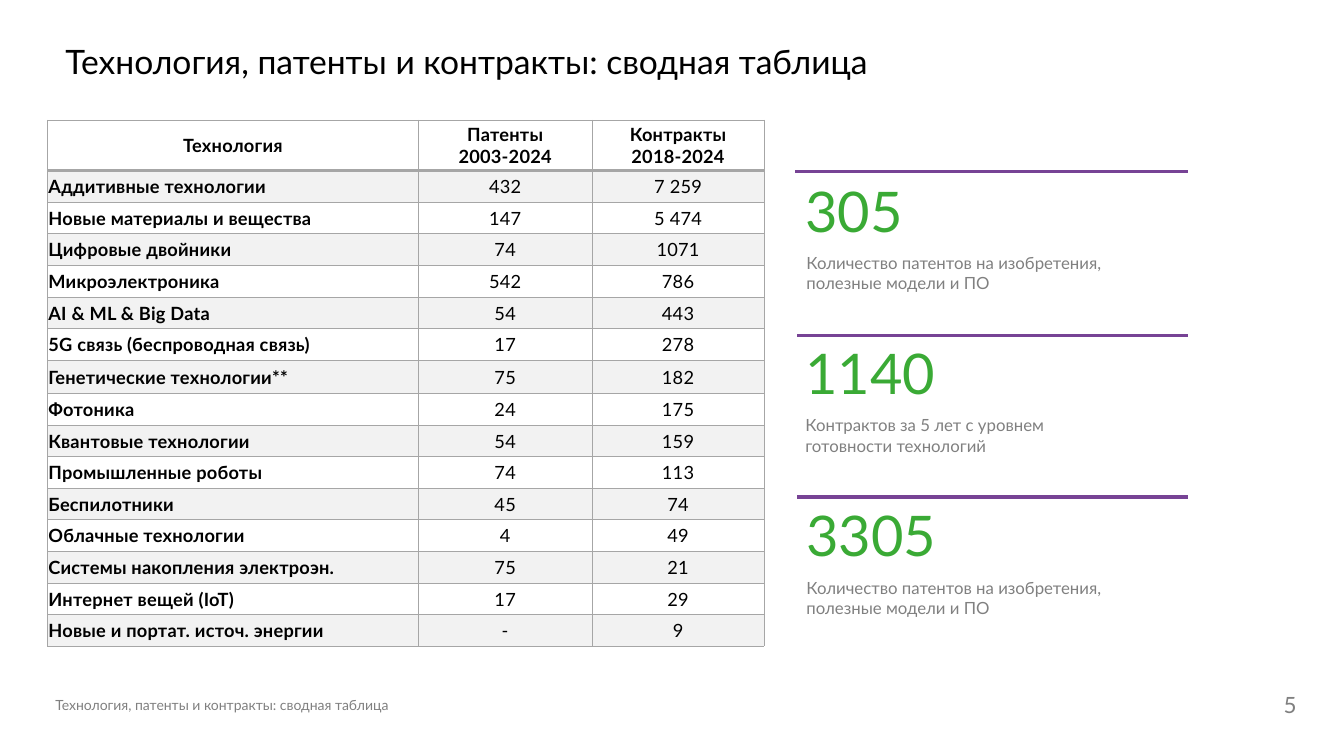
from dataclasses import dataclass

from lxml.etree import SubElement
from pptx import Presentation
from pptx.dml.color import RGBColor
from pptx.enum.shapes import MSO_CONNECTOR
from pptx.enum.text import MSO_ANCHOR, MSO_AUTO_SIZE, PP_ALIGN
from pptx.oxml import parse_xml
from pptx.oxml.ns import nsdecls, qn
from pptx.slide import Slide
from pptx.table import _Cell
from pptx.text.text import _Paragraph
from pptx.util import Inches, Pt

COLORS = {
    "text": "000000",
    "muted": "808080",
    "number": "3AAA35",
    "rule": "774395",
    "border": "A6A6A6",
    "band": "F2F2F2",
    "plain": "FFFFFF",
}
FONT = "Lato"
HEADING = "Технология, патенты и контракты: сводная таблица"
HEADERS = ("Технология", "Патенты\n2003-2024", "Контракты\n2018-2024")
TECHNOLOGIES = (
    ("Аддитивные технологии", "432", "7 259"),
    ("Новые материалы и вещества", "147", "5 474"),
    ("Цифровые двойники", "74", "1071"),
    ("Микроэлектроника", "542", "786"),
    ("AI & ML & Big Data", "54", "443"),
    ("5G связь (беспроводная связь)", "17", "278"),
    ("Генетические технологии**", "75", "182"),
    ("Фотоника", "24", "175"),
    ("Квантовые технологии", "54", "159"),
    ("Промышленные роботы", "74", "113"),
    ("Беспилотники", "45", "74"),
    ("Облачные технологии", "4", "49"),
    ("Системы накопления электроэн.", "75", "21"),
    ("Интернет вещей (IoT)", "17", "29"),
    ("Новые и портат. источ. энергии", "-", "9"),
)
COLUMN_WIDTHS = (3.68, 1.72, 1.71)
TABLE_HEIGHT = 5.22
HEADER_HEIGHT = 0.5
TALL_ROW, TALL_HEIGHT = 7, 0.33
ROW_HEIGHT = (TABLE_HEIGHT - HEADER_HEIGHT - TALL_HEIGHT) / (len(TECHNOLOGIES) - 1)
THIN, THICK = 0.25, 3
RULE_RIGHT = 11.78


@dataclass
class Label:
    text: str
    left: float
    top: float
    width: float
    height: float
    size: float
    color: str
    alignment: PP_ALIGN = PP_ALIGN.LEFT
    anchor: MSO_ANCHOR = MSO_ANCHOR.TOP
    auto_size: MSO_AUTO_SIZE = MSO_AUTO_SIZE.NONE
    line_spacing: float = 1.0


@dataclass
class Metric:
    number: str
    caption: str
    left: float
    top: float
    caption_left: float
    caption_width: float
    rule_left: float
    rule_top: float


LABELS = (
    Label("5", 9.96, 6.79, 3, 0.4, 16, "muted", PP_ALIGN.RIGHT, MSO_ANCHOR.MIDDLE),
    Label(HEADING, 0.55, 0.4, 9.07, 1.42, 24, "text", line_spacing=0.9),
    Label(HEADING, 0.45, 6.79, 6.12, 0.4, 10, "muted", anchor=MSO_ANCHOR.MIDDLE),
)
METRICS = (
    Metric("305", "Количество патентов на изобретения, полезные модели и ПО",
           7.89, 1.7, 7.9, 3.89, 7.89, 1.7),
    Metric("1140", "Контрактов за 5 лет с уровнем готовности технологий",
           7.89, 3.31, 7.89, 3.12, 7.9, 3.33),
    Metric("3305", "Количество патентов на изобретения, \nполезные модели и ПО",
           7.9, 4.92, 7.9, 4.38, 7.9, 4.93),
)


def rgb(name: str) -> RGBColor:
    return RGBColor.from_string(COLORS[name])


def format_font(paragraph: _Paragraph, size: float, color: str, bold: bool = False) -> None:
    for run in paragraph.runs:
        for name, value in {"name": FONT, "size": Pt(size), "bold": bold}.items():
            setattr(run.font, name, value)
        run.font.color.rgb = rgb(color)


def add_label(slide: Slide, label: Label) -> None:
    bounds = (label.left, label.top, label.width, label.height)
    frame = slide.shapes.add_textbox(*map(Inches, bounds)).text_frame
    frame_format = {
        "word_wrap": True,
        "auto_size": label.auto_size,
        "vertical_anchor": label.anchor,
    }
    for name, value in frame_format.items():
        setattr(frame, name, value)
    paragraph = frame.paragraphs[0]
    paragraph.text = label.text
    paragraph.alignment = label.alignment
    paragraph.line_spacing = label.line_spacing
    format_font(paragraph, label.size, label.color)


def add_rule(slide: Slide, left: float, top: float) -> None:
    connector = slide.shapes.add_connector(
        MSO_CONNECTOR.STRAIGHT, Inches(RULE_RIGHT), Inches(top), Inches(left), Inches(top)
    )
    connector.line.color.rgb = rgb("rule")
    connector.line.width = Pt(2.25)
    SubElement(connector._element.spPr, qn("a:effectLst"))


def set_borders(cell: _Cell, top: float, bottom: float) -> None:
    properties = cell._tc.get_or_add_tcPr()
    widths = {"lnL": THIN, "lnR": THIN, "lnT": top, "lnB": bottom}
    for index, (tag, width) in enumerate(widths.items()):
        properties.insert(index, parse_xml(
            f'<a:{tag} {nsdecls("a")} w="{int(Pt(width))}"><a:solidFill>'
            f'<a:srgbClr val="{COLORS["border"]}"/></a:solidFill></a:{tag}>'
        ))


def fill_cell(cell: _Cell, text: str, row: int, column: int) -> None:
    header = row == 0
    side = 0.04 if header and column == 0 else 0 if header else 0.01
    cell_format = {
        "vertical_anchor": MSO_ANCHOR.MIDDLE,
        "margin_left": Inches(side),
        "margin_right": Inches(side),
        "margin_top": Inches(0 if header else 0.01),
        "margin_bottom": Inches(0),
    }
    for name, value in cell_format.items():
        setattr(cell, name, value)
    cell.fill.solid()
    cell.fill.fore_color.rgb = rgb("band" if row % 2 else "plain")
    set_borders(cell, THICK if row == 1 else THIN, THICK if header else THIN)
    cell.text_frame.text = text
    for paragraph in cell.text_frame.paragraphs:
        paragraph.alignment = PP_ALIGN.CENTER if header or column else PP_ALIGN.LEFT
        format_font(paragraph, 13, "text", header or column == 0)
        for run in paragraph.runs:
            run._r.get_or_add_rPr().set("spc", "20")


def add_technology_table(slide: Slide) -> None:
    rows = (HEADERS, *TECHNOLOGIES)
    bounds = (0.47, 1.19, sum(COLUMN_WIDTHS), TABLE_HEIGHT)
    table = slide.shapes.add_table(len(rows), len(HEADERS), *map(Inches, bounds)).table
    table.first_row = False
    table.horz_banding = False
    for column, width in zip(table.columns, COLUMN_WIDTHS):
        column.width = Inches(width)
    special_heights = {0: HEADER_HEIGHT, TALL_ROW: TALL_HEIGHT}
    for row, texts in enumerate(rows):
        table.rows[row].height = Inches(special_heights.get(row, ROW_HEIGHT))
        for column, text in enumerate(texts):
            fill_cell(table.cell(row, column), text, row, column)


def add_metric(slide: Slide, metric: Metric) -> None:
    grow = MSO_AUTO_SIZE.SHAPE_TO_FIT_TEXT
    add_label(slide, Label(metric.number, metric.left, metric.top, 2.82, 0.77,
                           40, "number", auto_size=grow))
    add_label(slide, Label(metric.caption, metric.caption_left, metric.top + 0.76,
                           metric.caption_width, 0.5, 12, "muted", auto_size=grow))
    add_rule(slide, metric.rule_left, metric.rule_top)


def main() -> None:
    presentation = Presentation()
    presentation.slide_width = Inches(13.33)
    presentation.slide_height = Inches(7.5)
    slide = presentation.slides.add_slide(presentation.slide_layouts[6])
    for label in LABELS:
        add_label(slide, label)
    add_technology_table(slide)
    for metric in METRICS:
        add_metric(slide, metric)
    presentation.save("out.pptx")


if __name__ == "__main__":
    main()
